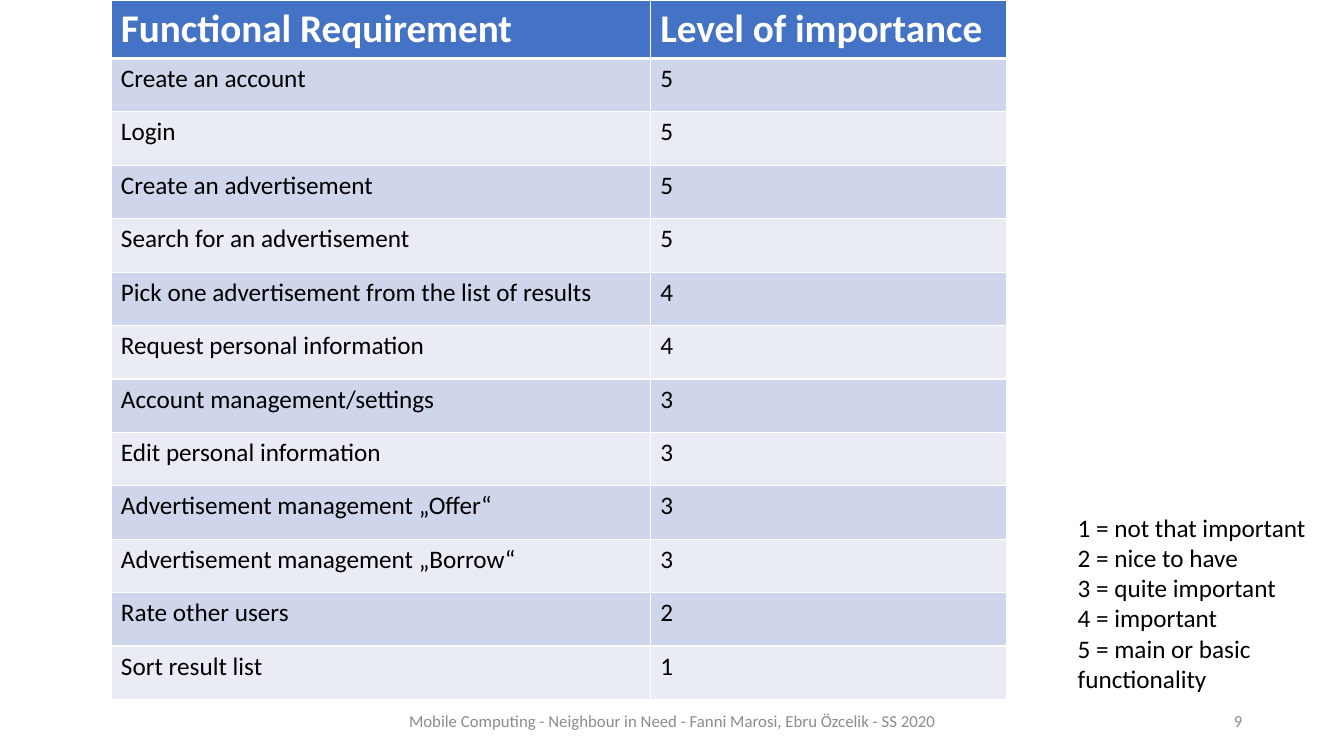
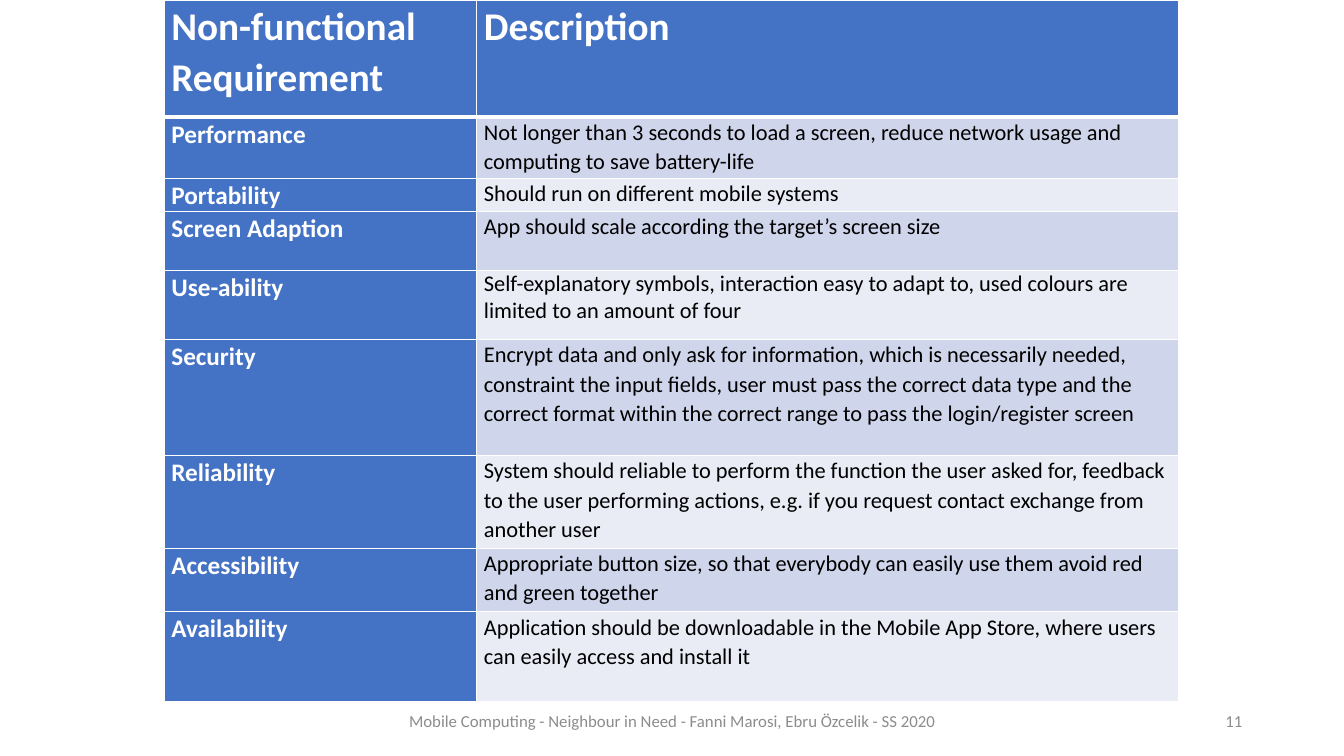
from dataclasses import dataclass

from lxml import etree
from pptx import Presentation
from pptx.dml.color import RGBColor
from pptx.enum.text import MSO_ANCHOR, MSO_AUTO_SIZE, PP_ALIGN
from pptx.oxml.ns import qn
from pptx.util import Emu, Pt

LEFT, CENTER, RIGHT = PP_ALIGN.LEFT, PP_ALIGN.CENTER, PP_ALIGN.RIGHT
TOP, MIDDLE = MSO_ANCHOR.TOP, MSO_ANCHOR.MIDDLE
GROW = MSO_AUTO_SIZE.SHAPE_TO_FIT_TEXT
PX = 9144  # 100 px to the inch


@dataclass(frozen=True)
class Theme:
    font: str = "Calibri"
    accent: str = "4472C4"
    bands: tuple = ("CFD5EA", "E9EBF5")
    white: str = "FFFFFF"
    black: str = "000000"
    grey: str = "8C8C8C"
    header_size: int = 28
    body_size: int = 18
    detail_size: int = 16
    footer_size: int = 12
    thin: int = 1
    thick: int = 3


THEME = Theme()

# Content
FOOTER = "Mobile Computing - Neighbour in Need - Fanni Marosi, Ebru Özcelik - SS 2020"
FUNCTIONAL = [
    ("Functional Requirement", "Level of importance"),
    ("Create an account", "5"),
    ("Login", "5"),
    ("Create an advertisement", "5"),
    ("Search for an advertisement", "5"),
    ("Pick one advertisement from the list of results", "4"),
    ("Request personal information", "4"),
    ("Account management/settings", "3"),
    ("Edit personal information", "3"),
    ("Advertisement management „Offer“", "3"),
    ("Advertisement management „Borrow“", "3"),
    ("Rate other users", "2"),
    ("Sort result list", "1"),
]
LEGEND = ("1 = not that important\n2 = nice to have\n3 = quite important\n"
          "4 = important\n5 = main or basic functionality")
NON_FUNCTIONAL = [
    ("Non-functional\nRequirement", "Description"),
    ("Performance", "Not longer than 3 seconds to load a screen, reduce network "
     "usage and computing to save battery-life"),
    ("Portability", "Should run on different mobile systems"),
    ("Screen Adaption", "App should scale according the target’s screen size"),
    ("Use-ability", "Self-explanatory symbols, interaction easy to adapt to, used "
     "colours are limited to an amount of four"),
    ("Security", "Encrypt data and only ask for information, which is necessarily "
     "needed, constraint the input fields, user must pass the correct data type and "
     "the correct format within the correct range to pass the login/register screen"),
    ("Reliability", "System should reliable to perform the function the user asked "
     "for, feedback to the user performing actions, e.g. if you request contact "
     "exchange from another user"),
    ("Accessibility", "Appropriate button size, so that everybody can easily use them "
     "avoid red and green together"),
    ("Availability", "Application should be downloadable in the Mobile App Store, where "
     "users can easily access and install it"),
]
SINGLE_SPACED = {(4, 1)}  # row, column of the cell with plain line spacing

TABLES = [
    {"page_number": "9", "rows": FUNCTIONAL, "left": 110, "widths": (535, 353),
     "heights": [58] + [53] * 12, "margins": (10, 5), "side_heads": False,
     "detail_size": THEME.body_size, "spacing": 1.0, "legend": LEGEND},
    {"page_number": "11", "rows": NON_FUNCTIONAL, "left": 163, "widths": (310, 696),
     "heights": [116, 61, 33, 58, 69, 115, 92, 63, 89], "margins": (7, 0),
     "side_heads": True, "detail_size": THEME.detail_size, "spacing": 1.07,
     "legend": None},
]


def px(*lengths):
    return [Emu(length * PX) for length in lengths]


def write(frame, text, size, color, bold=False, align=LEFT, spacing=1.0):
    para = frame.paragraphs[0]
    para.text = text.replace("\n", "\v")
    para.alignment = align
    para.line_spacing = spacing
    values = {"name": THEME.font, "size": Pt(size), "bold": bold}
    for span in para.runs:
        for name, value in values.items():
            setattr(span.font, name, value)
        span.font.color.rgb = RGBColor.from_string(color)


def add_text(page, at, text, size, color, align=LEFT, anchor=TOP, grow=False):
    frame = page.shapes.add_textbox(*px(*at)).text_frame
    frame.word_wrap = True
    frame.vertical_anchor = anchor
    if grow:
        frame.auto_size = GROW
    write(frame, text, size, color, align=align)


def add_borders(cell, row):
    """White grid with a thick rule under the header row."""
    widths = {"L": THEME.thin, "R": THEME.thin,
              "T": THEME.thick if row == 1 else THEME.thin,
              "B": THEME.thick if row == 0 else THEME.thin}
    properties = cell._tc.get_or_add_tcPr()
    for side, width in widths.items():
        line = etree.SubElement(properties, qn(f"a:ln{side}"), w=str(Pt(width)))
        fill = etree.SubElement(line, qn("a:solidFill"))
        etree.SubElement(fill, qn("a:srgbClr"), val=THEME.white)


def add_requirements(page, layout):
    rows, widths, heights = (layout[key] for key in ("rows", "widths", "heights"))
    table = page.shapes.add_table(
        len(rows), len(widths), *px(layout["left"], 0, sum(widths), sum(heights))).table
    for tracks, name, lengths in ((table.columns, "width", widths),
                                  (table.rows, "height", heights)):
        for track, length in zip(tracks, px(*lengths)):
            setattr(track, name, length)

    side, edge = px(*layout["margins"])
    margins = {"margin_left": side, "margin_right": side,
               "margin_top": edge, "margin_bottom": edge}
    for row, texts in enumerate(rows):
        for column, text in enumerate(texts):
            cell = table.cell(row, column)
            for name, value in margins.items():
                setattr(cell, name, value)
            add_borders(cell, row)

            is_head = row == 0 or (layout["side_heads"] and column == 0)
            if row == 0:
                size = THEME.header_size
            else:
                size = THEME.body_size if column == 0 else layout["detail_size"]
            cell.fill.solid()
            cell.fill.fore_color.rgb = RGBColor.from_string(
                THEME.accent if is_head else THEME.bands[(row - 1) % 2])
            single = layout["side_heads"] and (row, column) in SINGLE_SPACED
            write(cell.text_frame, text, size,
                  THEME.white if is_head else THEME.black, bold=is_head,
                  spacing=1.0 if single else layout["spacing"])


def add_footer(page, number):
    style = {"size": THEME.footer_size, "color": THEME.grey, "anchor": MIDDLE}
    add_text(page, (259, 695, 816, 40), FOOTER, align=CENTER, **style)
    add_text(page, (942, 695, 300, 40), number, align=RIGHT, **style)


def main():
    deck = Presentation()
    deck.slide_width, deck.slide_height = px(1333, 750)
    blank = deck.slide_layouts[6]
    for layout in TABLES:
        page = deck.slides.add_slide(blank)
        add_footer(page, layout["page_number"])
        add_requirements(page, layout)
        if layout["legend"]:
            add_text(page, (1059, 503, 274, 192), layout["legend"],
                     THEME.body_size, THEME.black, grow=True)
    deck.save("out.pptx")


if __name__ == "__main__":
    main()
